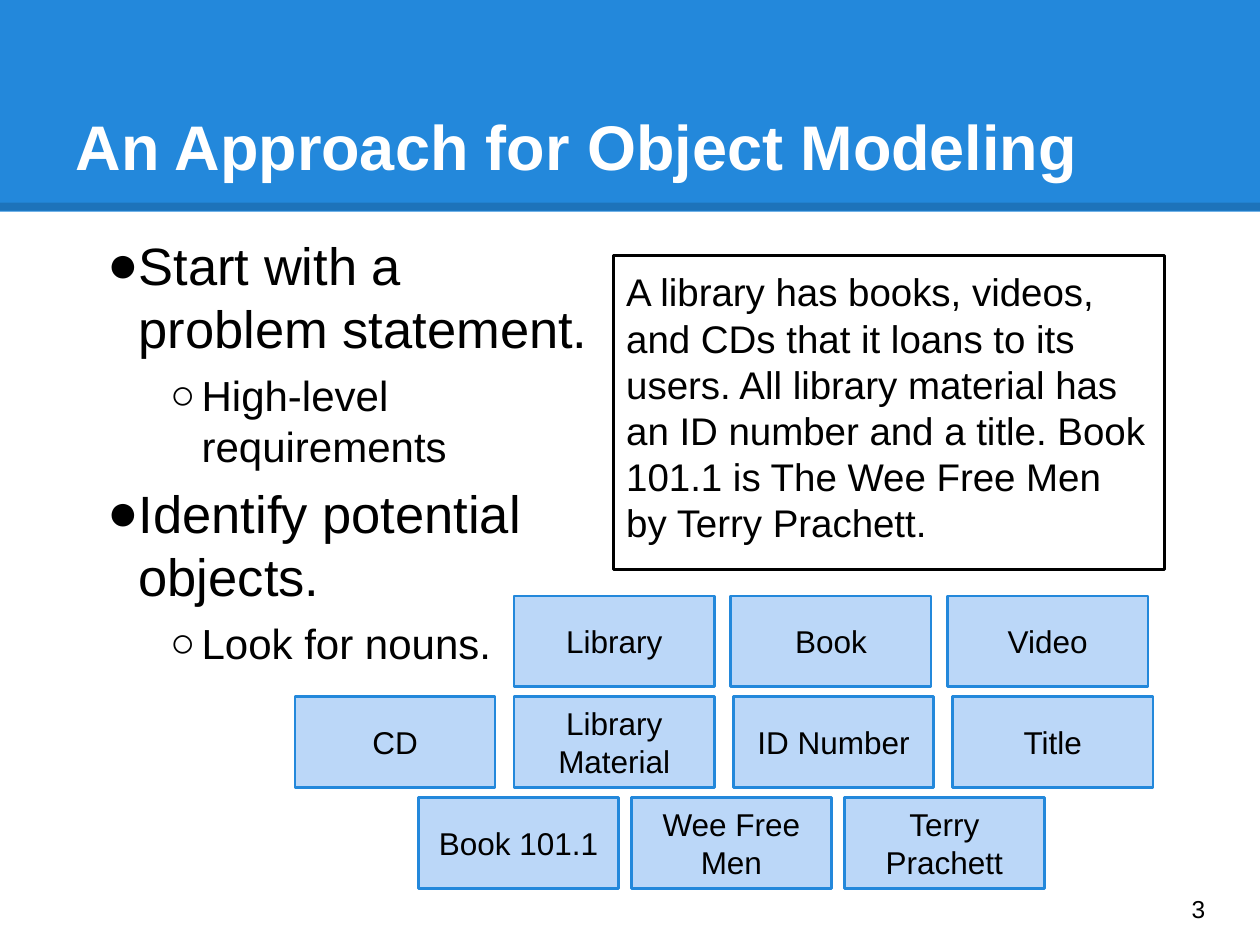
from dataclasses import dataclass

from lxml.etree import SubElement
from pptx import Presentation
from pptx.dml.color import RGBColor
from pptx.enum.shapes import MSO_CONNECTOR, MSO_SHAPE
from pptx.enum.text import MSO_ANCHOR, MSO_AUTO_SIZE, PP_ALIGN
from pptx.oxml.ns import qn
from pptx.util import Inches, Pt


@dataclass(frozen=True)
class Theme:
    font: str = "Arial"
    blue: RGBColor = RGBColor(0x23, 0x88, 0xDB)
    pale_blue: RGBColor = RGBColor(0xBB, 0xD7, 0xF8)
    black: RGBColor = RGBColor(0, 0, 0)
    white: RGBColor = RGBColor(255, 255, 255)
    title_size: int = 36
    list_sizes: tuple = (30, 24)
    statement_size: int = 22
    object_size: int = 18
    number_size: int = 14
    outline: float = 1.5


THEME = Theme()
BULLETS = "●○"
LIST_ITEMS = [
    (0, "Start with a problem statement."),
    (1, "High-level requirements"),
    (0, "Identify potential objects."),
    (1, "Look for nouns."),
]
STATEMENT = (
    "A library has books, videos, and CDs that it loans to its users. "
    "All library material has an ID number and a title. "
    "Book 101.1 is The Wee Free Men by Terry Prachett."
)
# Left edge, horizontal step and names of each row of objects
OBJECT_ROWS = [
    (4.08, 1.72, ["Library", "Book", "Video"]),
    (2.34, 1.74, ["CD", "Library Material", "ID Number", "Title"]),
    (3.32, 1.69, ["Book 101.1", "Wee Free Men", "Terry Prachett"]),
]


def place(shape, box):
    shape.left, shape.top, shape.width, shape.height = map(Inches, box)


def prepare_frame(shape, anchor):
    frame = shape.text_frame
    frame.word_wrap = True
    frame.auto_size = MSO_AUTO_SIZE.NONE
    frame.vertical_anchor = anchor
    frame.margin_left = frame.margin_right = Inches(0.1)
    frame.margin_top = frame.margin_bottom = Inches(0.1)
    return frame


def format_paragraph(paragraph, size, color=THEME.black, bold=False,
                     align=PP_ALIGN.LEFT, space_before=0):
    paragraph.alignment = align
    paragraph.space_before = Pt(space_before)
    for run in paragraph.runs:
        run.font.name = THEME.font
        run.font.size = Pt(size)
        run.font.bold = bold
        run.font.color.rgb = color


def set_bullet(paragraph, character=None, indent=0, hanging=0):
    properties = paragraph._p.get_or_add_pPr()
    properties.set("marL", str(Inches(indent)))
    properties.set("indent", str(Inches(-hanging)))
    if character:
        SubElement(properties, qn("a:buChar")).set("char", character)
    else:
        SubElement(properties, qn("a:buNone"))


def add_header(slide, box):
    left, top, width, height = box
    band = slide.shapes.add_shape(MSO_SHAPE.RECTANGLE, *map(Inches, box))
    band.shadow.inherit = False
    band.fill.solid()
    band.fill.fore_color.rgb = THEME.blue
    band.line.fill.background()

    # Translucent rule along the lower edge
    rule_y = Inches(top + height - 0.04)
    rule = slide.shapes.add_connector(
        MSO_CONNECTOR.STRAIGHT, Inches(left), rule_y, Inches(left + width), rule_y)
    rule.line.width = Pt(4.5)
    rule.line.color.rgb = THEME.black
    color = next(rule.element.iter(qn("a:srgbClr")))
    SubElement(color, qn("a:alpha")).set("val", "15000")
    SubElement(rule.element.spPr, qn("a:effectLst"))

    # Both lie behind the placeholders
    tree = band.element.getparent()
    tree.insert(2, band.element)
    tree.insert(3, rule.element)

    title = slide.shapes.title
    place(title, (left + 0.5, top + 0.3, width - 1, 1.25))
    frame = prepare_frame(title, MSO_ANCHOR.BOTTOM)
    frame.text = "An Approach for Object Modeling"
    format_paragraph(frame.paragraphs[0], THEME.title_size, THEME.white, bold=True)


def fill_list(placeholder, box):
    place(placeholder, box)
    frame = prepare_frame(placeholder, MSO_ANCHOR.TOP)
    frame.text = "\n".join(text for _, text in LIST_ITEMS)
    for index, (level, _) in enumerate(LIST_ITEMS):
        paragraph = frame.paragraphs[index]
        paragraph.level = level
        format_paragraph(paragraph, THEME.list_sizes[level],
                         space_before=6 if index else 0)
        set_bullet(paragraph, BULLETS[level], 0.5 * (level + 1), 0.25)


def fill_statement(placeholder, box):
    place(placeholder, box)
    placeholder.line.color.rgb = THEME.black
    placeholder.line.width = Pt(THEME.outline)
    frame = prepare_frame(placeholder, MSO_ANCHOR.TOP)
    frame.text = STATEMENT
    format_paragraph(frame.paragraphs[0], THEME.statement_size)
    set_bullet(frame.paragraphs[0])


def add_object(slide, name, box):
    shape = slide.shapes.add_shape(MSO_SHAPE.RECTANGLE, *map(Inches, box))
    shape.shadow.inherit = False
    shape.fill.solid()
    shape.fill.fore_color.rgb = THEME.pale_blue
    shape.line.color.rgb = THEME.blue
    shape.line.width = Pt(THEME.outline)
    frame = prepare_frame(shape, MSO_ANCHOR.MIDDLE)
    frame.text = name
    format_paragraph(frame.paragraphs[0], THEME.object_size, align=PP_ALIGN.CENTER)


def add_object_rows(slide, top):
    for row, (left, step, names) in enumerate(OBJECT_ROWS):
        for column, name in enumerate(names):
            add_object(slide, name,
                       (left + column * step, top + row * 0.8, 1.59, 0.72))


def add_slide_number(slide, box):
    number = slide.shapes.add_textbox(*map(Inches, box))
    frame = prepare_frame(number, MSO_ANCHOR.MIDDLE)
    frame.text = "3"
    format_paragraph(frame.paragraphs[0], THEME.number_size)


def main():
    presentation = Presentation()
    presentation.slide_width, presentation.slide_height = Inches(10), Inches(7.5)
    # Layout with a title and two bodies
    slide = presentation.slides.add_slide(presentation.slide_layouts[3])
    add_header(slide, (0, 0, 10, 1.68))
    fill_list(slide.placeholders[1], (0.5, 1.75, 4.37, 3.58))
    fill_statement(slide.placeholders[2], (4.87, 2.03, 4.37, 2.49))
    add_object_rows(slide, 4.73)
    add_slide_number(slide, (9.36, 6.93, 0.6, 0.57))
    presentation.save("out.pptx")


if __name__ == "__main__":
    main()
